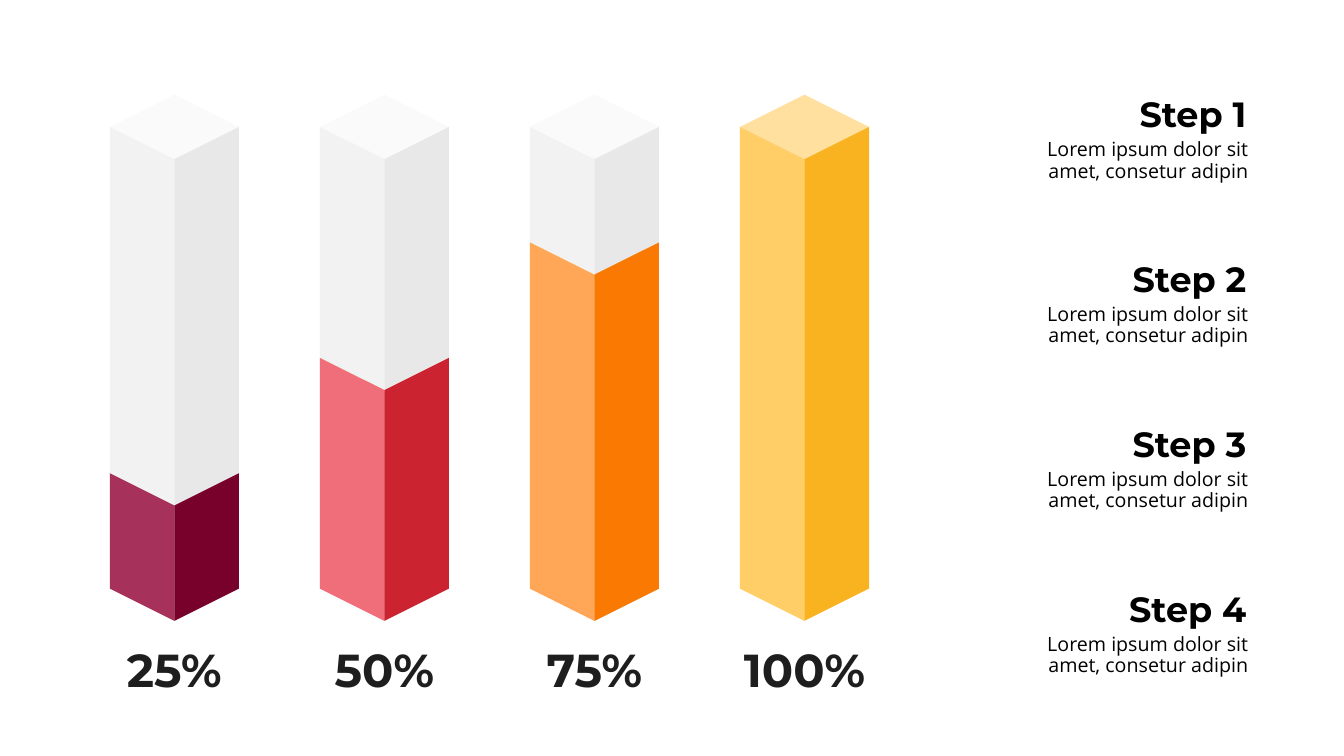
from pptx import Presentation
from pptx import util as u
from pptx.dml.color import RGBColor
from pptx.enum import text

COLUMN_X, COLUMN_PITCH = 1.73, 2.083
HALF_WIDTH, SLANT = 0.64, 0.32
TOP, BASE = 1.26, 5.84
EMPTY = ("F2F2F2", "E8E8E8")
COLUMNS = [
    (25, "FAFAFA", ("A6325C", "78012C")),
    (50, "FAFAFA", ("F06E7A", "CC2331")),
    (75, "FAFAFA", ("FFA757", "FA7902")),
    (100, "FFE09E", ("FFCE66", "FAB320")),
]
STEP_TOP, STEP_PITCH, STEP_RIGHT = 0.92, 1.635, 12.36
BODY = "Lorem ipsum dolor sit amet, consetur adipin"


def color(value):
    return RGBColor.from_string(value)


class Deck:
    """Hold the text style and the current slide, and draw its elements."""

    heading_font = "Montserrat"
    body_font = "Open Sans"

    def __init__(self):
        self.presentation = Presentation()
        self.presentation.slide_width = u.Inches(13.33)
        self.presentation.slide_height = u.Inches(7.5)
        self.slide = self.presentation.slides.add_slide(self.presentation.slide_layouts[6])

    def label(self, box, words, size, align, ink="000000", body=False):
        shape = self.slide.shapes.add_textbox(*map(u.Inches, box))
        frame = shape.text_frame
        frame.word_wrap = True
        frame.margin_left = frame.margin_right = u.Inches(0.1 if body else 0)
        frame.margin_top = frame.margin_bottom = u.Inches(0.05 if body else 0)
        paragraph = frame.paragraphs[0]
        paragraph.alignment = align
        if body:
            paragraph.line_spacing = 0.9
        run = paragraph.add_run()
        run.text = words
        run.font.name = self.body_font if body else self.heading_font
        run.font.size = u.Pt(size)
        run.font.bold = not body
        run.font.color.rgb = color(ink)

    def face(self, group, points, fill):
        start, *others = [(u.Inches(x), u.Inches(y)) for x, y in points]
        builder = group.shapes.build_freeform(*start)
        builder.add_line_segments(others, close=True)
        shape = builder.convert_to_shape()
        shape.shadow.inherit = False
        shape.fill.solid()
        shape.fill.fore_color.rgb = color(fill)
        shape.line.fill.background()

    def sides(self, group, x, top, fills):
        for edge, fill in zip((x - HALF_WIDTH, x + HALF_WIDTH), fills):
            points = [(edge, top), (edge, BASE), (x, BASE + SLANT), (x, top + SLANT)]
            self.face(group, points, fill)

    def column(self, x, percent, lid, fills):
        group = self.slide.shapes.add_group_shape()
        lid_points = [(x, TOP - SLANT), (x + HALF_WIDTH, TOP), (x, TOP + SLANT), (x - HALF_WIDTH, TOP)]
        self.face(group, lid_points, lid)
        if percent < 100:
            self.sides(group, x, TOP, EMPTY)
        self.sides(group, x, BASE - (BASE - TOP) * percent / 100, fills)
        self.label((x - 0.85, 6.36, 1.7, 0.54), f"{percent}%", 33, text.PP_ALIGN.CENTER, "1E1E1E")

    def step(self, number, top):
        right = text.PP_ALIGN.RIGHT
        self.label((STEP_RIGHT - 1.52, top, 1.52, 0.44), f"Step {number}", 25, right)
        self.label((10.03, top + 0.42, 2.45, 0.57), BODY, 14, right, body=True)


def main():
    deck = Deck()
    for index, column in enumerate(COLUMNS):
        deck.column(COLUMN_X + index * COLUMN_PITCH, *column)
        deck.step(index + 1, STEP_TOP + index * STEP_PITCH)
    deck.presentation.save("out.pptx")


if __name__ == "__main__":
    main()
